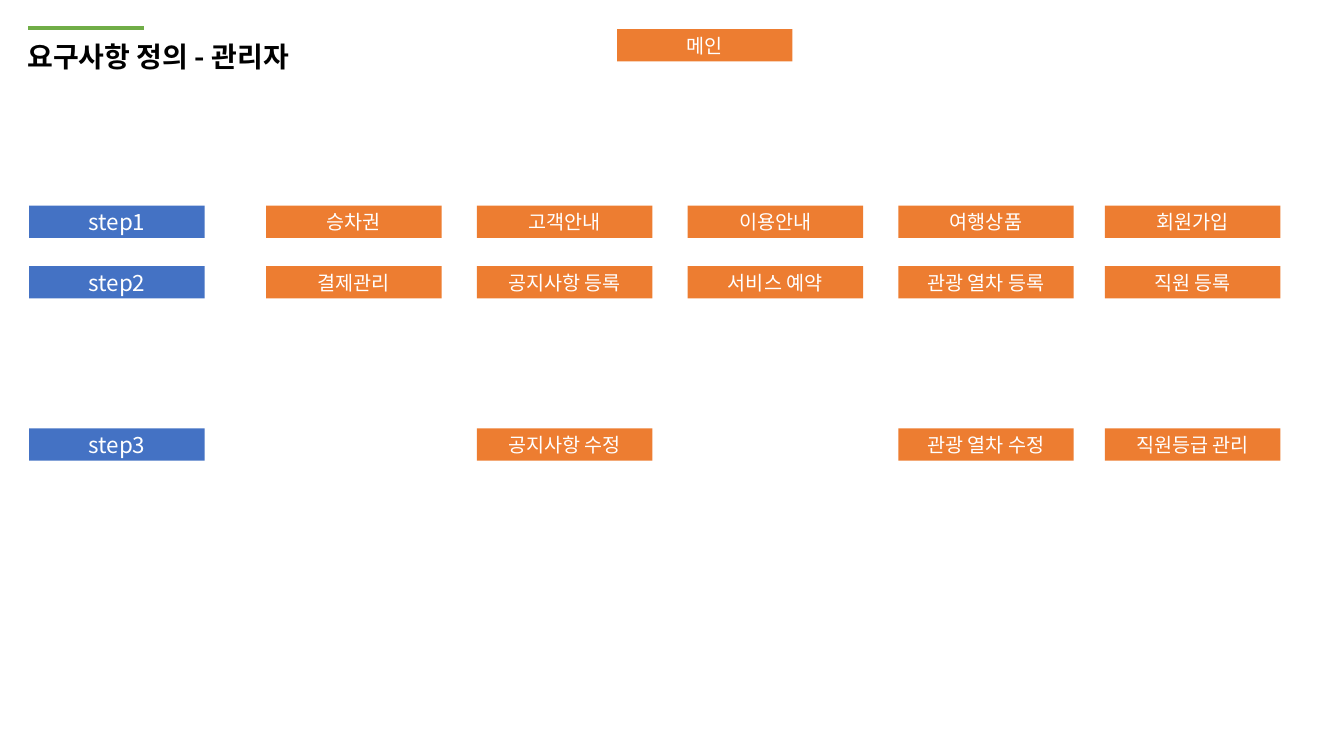
from lxml import etree
from pptx import Presentation
from pptx import util as u
from pptx.dml.color import RGBColor
from pptx.enum import shapes, text
from pptx.oxml import ns

TITLE = "요구사항 정의 - 관리자"
MAIN = "메인"
STEPS = [
    ("step1", 2.04, ["승차권", "고객안내", "이용안내", "여행상품", "회원가입"]),
    ("step2", 2.64, ["결제관리", "공지사항 등록", "서비스 예약", "관광 열차 등록", "직원 등록"]),
    ("step3", 4.25, [None, "공지사항 수정", None, "관광 열차 수정", "직원등급 관리"]),
]
COLORS = {"step": "4472C4", "menu": "ED7D31", "rule": "70AD47",
          "ink": "000000", "paper": "FFFFFF"}
FONT = "Noto Sans CJK KR"
FIRST, PITCH, LAST = 2.64, 2.09, 10.96
COLS = [FIRST + PITCH * i for i in range(4)] + [LAST]
LEFT, WIDE, HIGH = 0.29, 1.74, 0.32


def color(name):
    return RGBColor.from_string(COLORS[name])


def write(frame, words, size, ink, align, bold=False):
    frame.text = words
    para = frame.paragraphs[0]
    para.alignment = align
    para.line_spacing = 1.0
    font = para.font
    font.size = u.Pt(size)
    font.bold = bold
    font.color.rgb = color(ink)
    font.name = FONT
    latin = para._p.find(".//" + ns.qn("a:latin"))
    east = etree.Element(ns.qn("a:ea"), typeface=FONT)
    latin.addnext(east)


def box(slide, words, left, top, fill, size):
    rect = slide.shapes.add_shape(
        shapes.MSO_SHAPE.RECTANGLE,
        u.Inches(left), u.Inches(top), u.Inches(WIDE), u.Inches(HIGH))
    rect.shadow.inherit = False
    rect.fill.solid()
    rect.fill.fore_color.rgb = color(fill)
    rect.line.fill.background()
    rect.text_frame.vertical_anchor = text.MSO_ANCHOR.MIDDLE
    write(rect.text_frame, words, size, "paper", text.PP_ALIGN.CENTER)


def head(slide):
    title = slide.shapes.title
    title.left, title.top = u.Inches(0.17), u.Inches(0.34)
    title.width, title.height = u.Inches(3.98), u.Inches(0.44)
    frame = title.text_frame
    frame.word_wrap = True
    frame.auto_size = text.MSO_AUTO_SIZE.SHAPE_TO_FIT_TEXT
    frame.vertical_anchor = text.MSO_ANCHOR.TOP
    write(frame, TITLE, 20, "ink", text.PP_ALIGN.LEFT, True)
    rule = slide.shapes.add_connector(
        shapes.MSO_CONNECTOR.STRAIGHT,
        u.Inches(0.28), u.Inches(0.28), u.Inches(1.43), u.Inches(0.28))
    rule.line.color.rgb = color("rule")
    rule.line.width = u.Pt(3)
    etree.SubElement(rule._element.spPr, ns.qn("a:effectLst"))


def main():
    deck = Presentation()
    deck.slide_width, deck.slide_height = u.Inches(13.33), u.Inches(7.5)
    slide = deck.slides.add_slide(deck.slide_layouts[5])
    head(slide)
    box(slide, MAIN, 6.12, LEFT, "menu", 14)
    for step, top, menus in STEPS:
        box(slide, step, LEFT, top, "step", 16)
        for left, menu in zip(COLS, menus):
            if menu:
                box(slide, menu, left, top, "menu", 14)
    deck.save("out.pptx")


if __name__ == "__main__":
    main()
